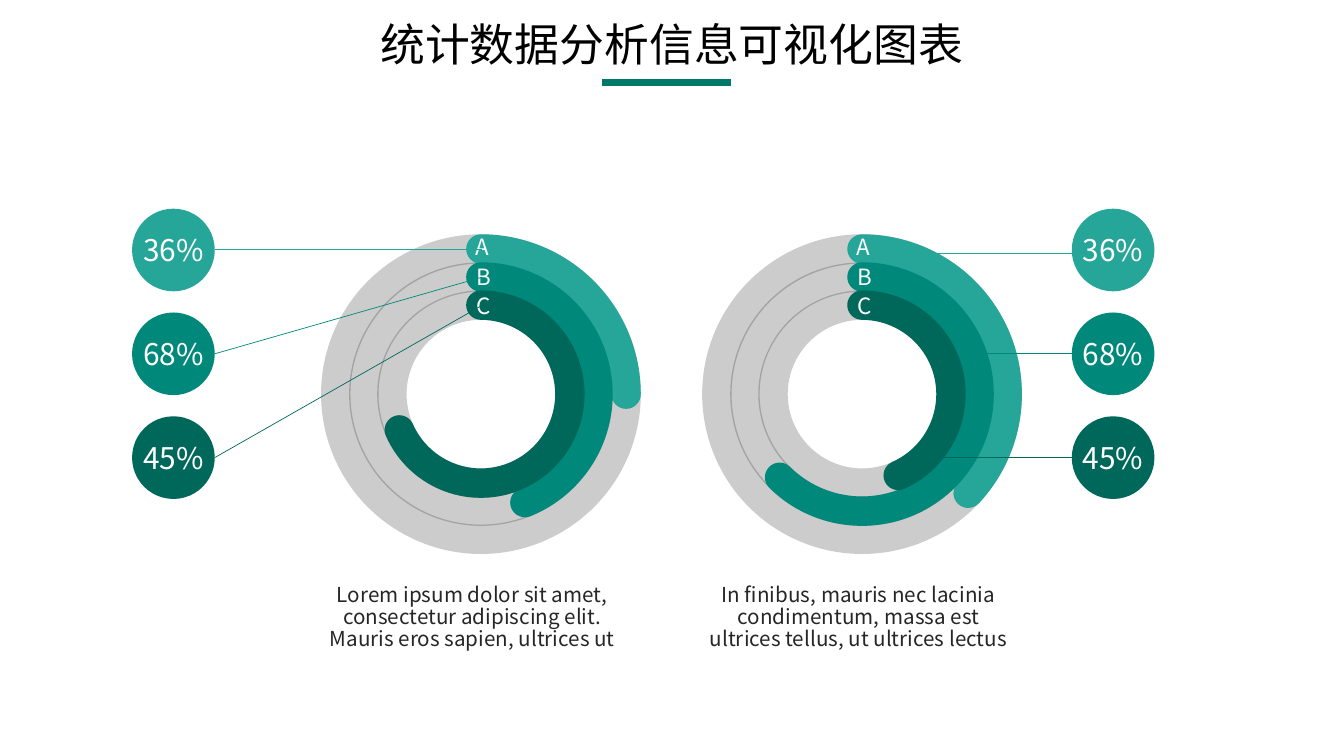
from lxml import etree
from pptx import Presentation
from pptx.dml.color import RGBColor
from pptx.enum.shapes import MSO_CONNECTOR, MSO_SHAPE
from pptx.enum.text import MSO_ANCHOR, PP_ALIGN
from pptx.oxml.ns import qn
from pptx.util import Inches, Pt

OVAL, ARC, STRAIGHT = MSO_SHAPE.OVAL, MSO_SHAPE.ARC, MSO_CONNECTOR.STRAIGHT
LEFT, CENTER = PP_ALIGN.LEFT, PP_ALIGN.CENTER
TOP, MIDDLE = MSO_ANCHOR.TOP, MSO_ANCHOR.MIDDLE

BLACK = RGBColor(0x00, 0x00, 0x00)
WHITE = RGBColor(0xFF, 0xFF, 0xFF)
CHARCOAL = RGBColor(0x26, 0x26, 0x26)
RULE_GREEN = RGBColor(0x00, 0x78, 0x6A)
LIGHT_TEAL = RGBColor(0x26, 0xA5, 0x99)
TEAL = RGBColor(0x00, 0x89, 0x7B)
DARK_TEAL = RGBColor(0x00, 0x68, 0x5B)

FONT = "Noto Sans CJK SC"
SLIDE_W, SLIDE_H = 13.33, 7.5
RING_PT = 21
BADGE = 0.82
BADGE_STEP = 1.03
SERIES = [("A", "36%", LIGHT_TEAL), ("B", "68%", TEAL), ("C", "45%", DARK_TEAL)]


def write(shape, text, size, color, align=CENTER, anchor=TOP, spacing=None,
          wrap=True, insets=(0.1, 0.05, 0.1, 0.05)):
    """Put one formatted paragraph into a shape."""
    frame = shape.text_frame
    frame.word_wrap = wrap
    frame.vertical_anchor = anchor
    (frame.margin_left, frame.margin_top,
     frame.margin_right, frame.margin_bottom) = map(Inches, insets)
    paragraph = frame.paragraphs[0]
    paragraph.alignment = align
    if spacing:
        paragraph.line_spacing = spacing
    run = paragraph.add_run()
    run.text = text
    run.font.size = Pt(size)
    run.font.color.rgb = color
    run.font.name = FONT
    etree.SubElement(run.font._element, qn("a:ea"), typeface=FONT)


def add_line(shapes, start, end, color, width):
    """Draw a straight line without a shadow."""
    line = shapes.add_connector(STRAIGHT, *map(Inches, (*start, *end)))
    line.line.color.rgb = color
    line.line.width = Pt(width)
    etree.SubElement(line.element.spPr, qn("a:effectLst"))


def add_ring(shapes, kind, box, color):
    """Draw an unfilled ring or arc with a thick stroke."""
    ring = shapes.add_shape(kind, *map(Inches, box))
    ring.shadow.inherit = False
    ring.fill.background()
    ring.line.color.rgb = color
    ring.line.width = Pt(RING_PT)
    return ring


def add_heading(slide, text):
    """Place the title and the short rule under it."""
    title = slide.shapes.title
    title.left, title.top, title.width, title.height = map(
        Inches, (3.56, 0.11, 6.21, 0.64))
    write(title, text, 32, BLACK, anchor=MIDDLE)
    middle, half = SLIDE_W / 2 - 0.05, 0.64
    add_line(slide.shapes, (middle - half, 0.82), (middle + half, 0.82), RULE_GREEN, 5)


def add_radial_chart(slide, left, top, size, end_angles):
    """Draw three concentric tracks, their arcs and their letters."""
    group = slide.shapes.add_group_shape().shapes
    gap = size * 0.0967
    boxes = [(left + i * gap, top + i * gap, size - 2 * i * gap, size - 2 * i * gap)
             for i in range(len(SERIES))]
    for box in boxes:
        track = add_ring(group, OVAL, box, BLACK)
        tint = track.element.xpath(".//a:ln/a:solidFill/a:srgbClr")[0]
        etree.SubElement(tint, qn("a:alpha"), val="20000")
    for box, angle, (_, _, color) in zip(boxes, end_angles, SERIES):
        arc = add_ring(group, ARC, box, color)
        arc.adjustments[0] = 270 * 0.6
        arc.adjustments[1] = angle * 0.6
        arc.element.xpath(".//a:ln")[0].set("cap", "rnd")
    for i, (letter, _, _) in enumerate(SERIES):
        label = group.add_textbox(*map(Inches, (
            left + size / 2 - (0.14 if i else 0.15), top - 0.17 + i * 0.29, 0.34, 0.34)))
        write(label, letter, 16, WHITE, align=LEFT, spacing=0.89, wrap=False)


def add_badges(slide, left, top, port_x, leaders):
    """Stack the percentage badges and run their leader lines to the chart."""
    for (start_y, tip), (_, _, color) in zip(leaders, SERIES):
        add_line(slide.shapes, (port_x, start_y), tip, color, 0.5)
    for i, (_, share, color) in enumerate(SERIES):
        badge = slide.shapes.add_shape(OVAL, *map(
            Inches, (left, top + i * BADGE_STEP, BADGE, BADGE)))
        badge.shadow.inherit = False
        badge.fill.solid()
        badge.fill.fore_color.rgb = color
        badge.line.fill.background()
        write(badge, share, 21.3, WHITE, anchor=MIDDLE, wrap=False,
              insets=(0.13, 0.07, 0.13, 0.07))


def add_caption(slide, left, top, text):
    """Place the paragraph under a chart."""
    caption = slide.shapes.add_textbox(*map(Inches, (left, top, 3.53, 0.82)))
    write(caption, text, 14.7, CHARCOAL, spacing=0.89,
          insets=(0.27, 0.05, 0.27, 0.11))


def main():
    """Build and save the slide."""
    deck = Presentation()
    deck.slide_width, deck.slide_height = Inches(SLIDE_W), Inches(SLIDE_H)
    slide = deck.slides.add_slide(deck.slide_layouts[5])
    add_heading(slide, "统计数据分析信息可视化图表")

    add_radial_chart(slide, 3.33, 2.47, 2.88, (0, 67.92, 156.28))
    add_radial_chart(slide, 7.11, 2.47, 2.88, (43.05, 134.69, 66))
    add_caption(slide, 2.92, 5.75, "Lorem ipsum dolor sit amet, consectetur "
                "adipiscing elit. Mauris eros sapien, ultrices ut")
    add_caption(slide, 6.75, 5.75, "In finibus, mauris nec lacinia condimentum, "
                "massa est ultrices tellus, ut ultrices lectus")

    add_badges(slide, 1.31, 2.07, 1.31 + BADGE, [
        (2.47, (4.78, 2.47)), (3.51, (4.78, 2.75)), (4.54, (4.78, 3.03))])
    add_badges(slide, 10.63, 2.07, 10.63, [
        (2.51, (8.92, 2.51)), (3.51, (9.71, 3.51)), (4.54, (9.24, 4.54))])
    deck.save("out.pptx")


if __name__ == "__main__":
    main()
